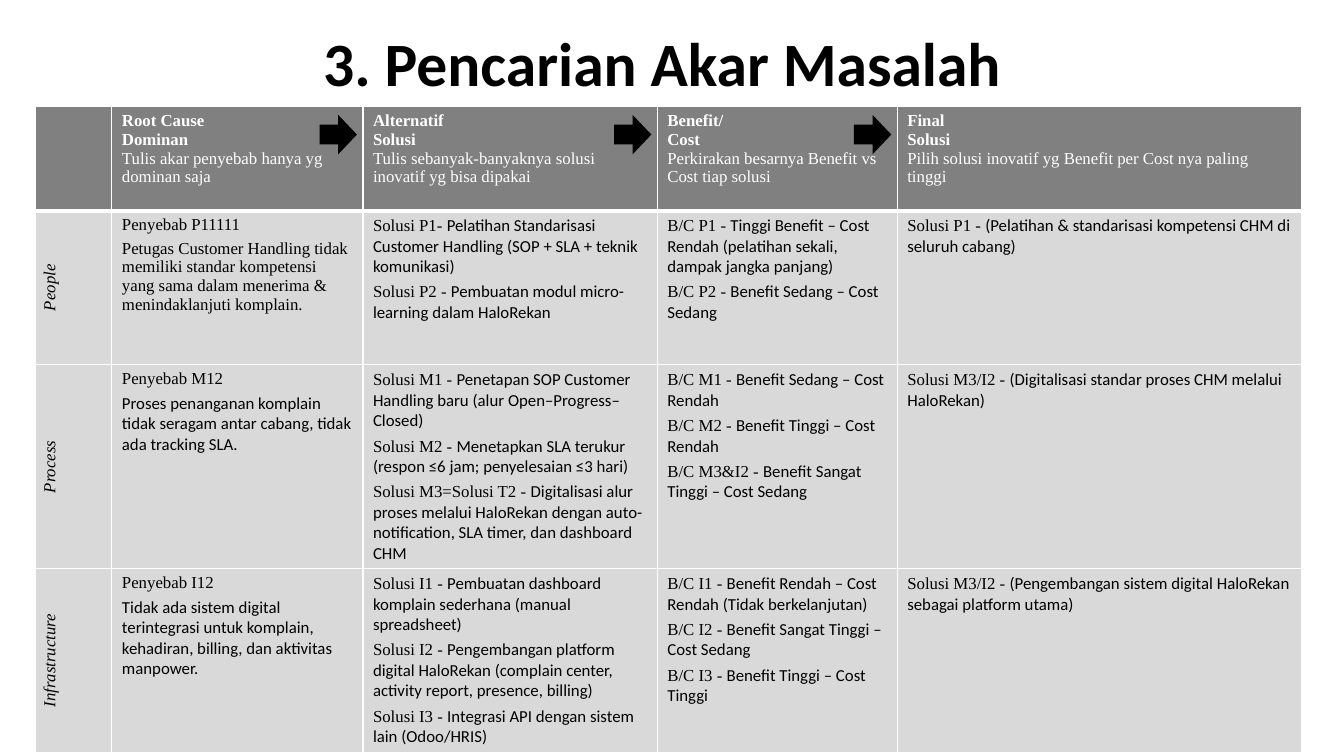
from dataclasses import dataclass
from itertools import accumulate

from lxml.etree import SubElement
from pptx import Presentation
from pptx.dml.color import RGBColor
from pptx.enum.shapes import MSO_SHAPE as Shape
from pptx.enum.text import MSO_ANCHOR as Anchor, PP_ALIGN as Align
from pptx.oxml.ns import qn
from pptx.util import Pt

PX = 9144


@dataclass(frozen=True)
class Theme:
    black: str = "000000"
    white: str = "FFFFFF"
    header: str = "808080"
    body: str = "D9D9D9"
    sans: str = "Calibri"
    serif: str = "Times New Roman"
    title_size: int = 44
    text_size: int = 12
    gap: float = 3.4
    thin: int = 1
    thick: int = 3


THEME = Theme()

COLUMN_WIDTHS = [76, 249, 292, 238, 401]
ROW_HEIGHTS = [103, 153, 194, 153]

HEADERS = [
    [],
    ["Root Cause", "Dominan", "Tulis akar penyebab hanya yg dominan saja"],
    ["Alternatif", "Solusi", "Tulis sebanyak-banyaknya solusi inovatif yg bisa dipakai"],
    ["Benefit/", "Cost", "Perkirakan besarnya Benefit vs Cost tiap solusi"],
    ["Final", "Solusi", "Pilih solusi inovatif yg Benefit per Cost nya paling tinggi"],
]

# fmt: off
ROWS = [
    ("People", [
        [("Penyebab P11111", ""),
         ("Petugas Customer Handling tidak memiliki standar kompetensi yang sama "
          "dalam menerima & menindaklanjuti komplain.", "")],
        [("Solusi P1- ", "Pelatihan Standarisasi Customer Handling (SOP + SLA + teknik komunikasi)"),
         ("Solusi P2 - ", "Pembuatan modul micro-learning dalam HaloRekan")],
        [("B/C P1 - ", "Tinggi Benefit – Cost Rendah (pelatihan sekali, dampak jangka panjang)"),
         ("B/C P2 - ", "Benefit Sedang – Cost Sedang")],
        [("Solusi P1 - ", "(Pelatihan & standarisasi kompetensi CHM di seluruh cabang)")],
    ]),
    ("Process", [
        [("Penyebab M12", ""),
         ("", "Proses penanganan komplain tidak seragam antar cabang, tidak ada tracking SLA.")],
        [("Solusi M1 - ", "Penetapan SOP Customer Handling baru (alur Open–Progress–Closed)"),
         ("Solusi M2 - ", "Menetapkan SLA terukur (respon ≤6 jam; penyelesaian ≤3 hari)"),
         ("Solusi M3=Solusi T2 - ", "Digitalisasi alur proses melalui HaloRekan dengan "
          "auto-notification, SLA timer, dan dashboard CHM")],
        [("B/C M1 - ", "Benefit Sedang – Cost Rendah"),
         ("B/C M2 - ", "Benefit Tinggi – Cost Rendah"),
         ("B/C M3&I2 - ", "Benefit Sangat Tinggi – Cost Sedang")],
        [("Solusi M3/I2 - ", "(Digitalisasi standar proses CHM melalui HaloRekan)")],
    ]),
    ("Infrastructure", [
        [("Penyebab I12", ""),
         ("", "Tidak ada sistem digital terintegrasi untuk komplain, kehadiran, billing, "
          "dan aktivitas manpower.")],
        [("Solusi I1 - ", "Pembuatan dashboard komplain sederhana (manual spreadsheet)"),
         ("Solusi I2 - ", "Pengembangan platform digital HaloRekan (complain center, "
          "activity report, presence, billing)"),
         ("Solusi I3 - ", "Integrasi API dengan sistem lain (Odoo/HRIS)")],
        [("B/C I1 - ", "Benefit Rendah – Cost Rendah (Tidak berkelanjutan)"),
         ("B/C I2 - ", "Benefit Sangat Tinggi – Cost Sedang"),
         ("B/C I3 - ", "Benefit Tinggi – Cost Tinggi")],
        [("Solusi M3/I2 - ", "(Pengembangan sistem digital HaloRekan sebagai platform utama)")],
    ]),
]
# fmt: on


def to_emu(box):
    return [length * PX for length in box]


def style_run(run, family, color, size=THEME.text_size, bold=False, italic=False):
    font = run.font
    font.name, font.size, font.bold, font.italic = family, Pt(size), bold, italic
    font.color.rgb = RGBColor.from_string(color)


def style_cell(cell, fill, top, bottom):
    properties = cell._tc.get_or_add_tcPr()
    widths = {"a:lnL": THEME.thin, "a:lnR": THEME.thin, "a:lnT": top, "a:lnB": bottom}
    for tag, width in widths.items():
        line = SubElement(properties, qn(tag), w=str(Pt(width)))
        solid = SubElement(line, qn("a:solidFill"))
        SubElement(solid, qn("a:srgbClr"), val=THEME.white)
    cell.fill.solid()
    cell.fill.fore_color.rgb = RGBColor.from_string(fill)


def fill_header(cell, lines):
    style_cell(cell, THEME.header, THEME.thin, THEME.thick)
    cell.text_frame.text = "\n".join(lines)
    for index, paragraph in enumerate(cell.text_frame.paragraphs):
        for run in paragraph.runs:
            style_run(run, THEME.serif, THEME.white, bold=index < 2)


def fill_category(cell, name):
    cell._tc.get_or_add_tcPr().set("vert", "vert270")
    cell.text_frame.text = name
    paragraph = cell.text_frame.paragraphs[0]
    paragraph.alignment = Align.CENTER
    style_run(paragraph.runs[0], THEME.serif, THEME.black, italic=True)


def fill_body(cell, items):
    frame = cell.text_frame
    for index, item in enumerate(items):
        paragraph = frame.add_paragraph() if index else frame.paragraphs[0]
        if index:
            paragraph.space_before = Pt(THEME.gap)
        for text, family in zip(item, (THEME.serif, THEME.sans)):
            if text:
                run = paragraph.add_run()
                run.text = text
                style_run(run, family, THEME.black)


def add_title(slide, box):
    title = slide.shapes.title
    title.left, title.top, title.width, title.height = to_emu(box)
    frame = title.text_frame
    frame.text = "3. Pencarian Akar Masalah"
    frame.vertical_anchor = Anchor.MIDDLE
    paragraph = frame.paragraphs[0]
    paragraph.alignment = Align.CENTER
    paragraph.line_spacing = 0.9
    style_run(paragraph.runs[0], THEME.sans, THEME.black, THEME.title_size, bold=True)


def add_solution_table(slide, box):
    shape = slide.shapes.add_table(len(ROW_HEIGHTS), len(COLUMN_WIDTHS), *to_emu(box))
    table = shape.table
    for column, width in zip(table.columns, COLUMN_WIDTHS):
        column.width = width * PX
    for row, height in zip(table.rows, ROW_HEIGHTS):
        row.height = height * PX
    for column, lines in enumerate(HEADERS):
        fill_header(table.cell(0, column), lines)
    for row, (name, cells) in enumerate(ROWS, 1):
        for column in range(len(COLUMN_WIDTHS)):
            top = THEME.thick if row == 1 else THEME.thin
            style_cell(table.cell(row, column), THEME.body, top, THEME.thin)
        fill_category(table.cell(row, 0), name)
        for column, items in enumerate(cells, 1):
            fill_body(table.cell(row, column), items)


def add_header_arrows(slide, box):
    left, top, _, _ = box
    width, height, inset = 37, 39, 6
    for edge in list(accumulate(COLUMN_WIDTHS))[1:-1]:
        arrow_box = (left + edge - inset - width, top + 8, width, height)
        arrow = slide.shapes.add_shape(Shape.RIGHT_ARROW, *to_emu(arrow_box))
        arrow.shadow.inherit = False
        arrow.fill.solid()
        arrow.fill.fore_color.rgb = RGBColor.from_string(THEME.black)
        arrow.line.fill.background()


def main():
    presentation = Presentation()
    presentation.slide_width, presentation.slide_height = to_emu((1333, 750))
    slide = presentation.slides.add_slide(presentation.slide_layouts[5])
    table_box = (35, 106, sum(COLUMN_WIDTHS), sum(ROW_HEIGHTS))
    add_title(slide, (207, 19, 900, 95))
    add_solution_table(slide, table_box)
    add_header_arrows(slide, table_box)
    presentation.save("out.pptx")


if __name__ == "__main__":
    main()
